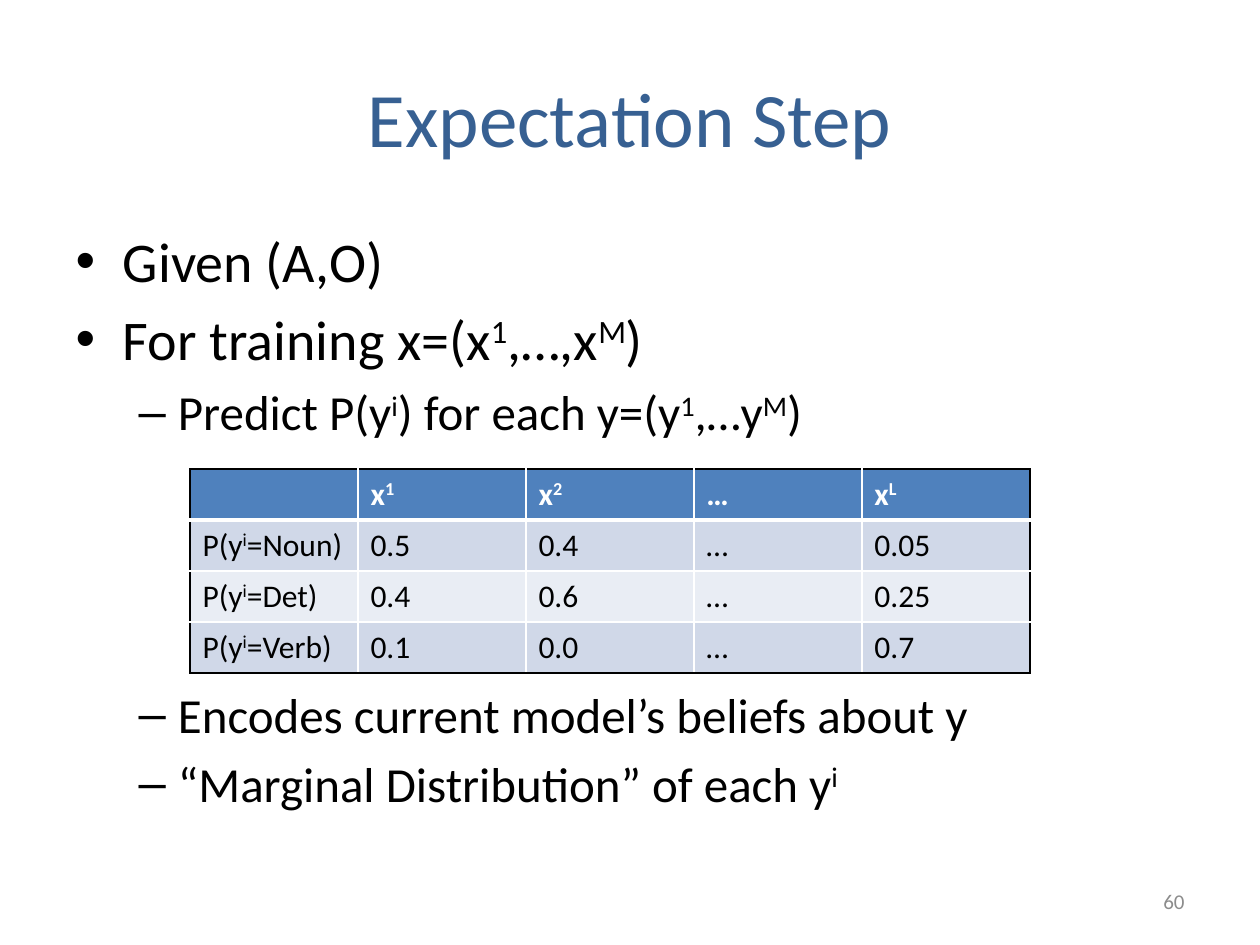
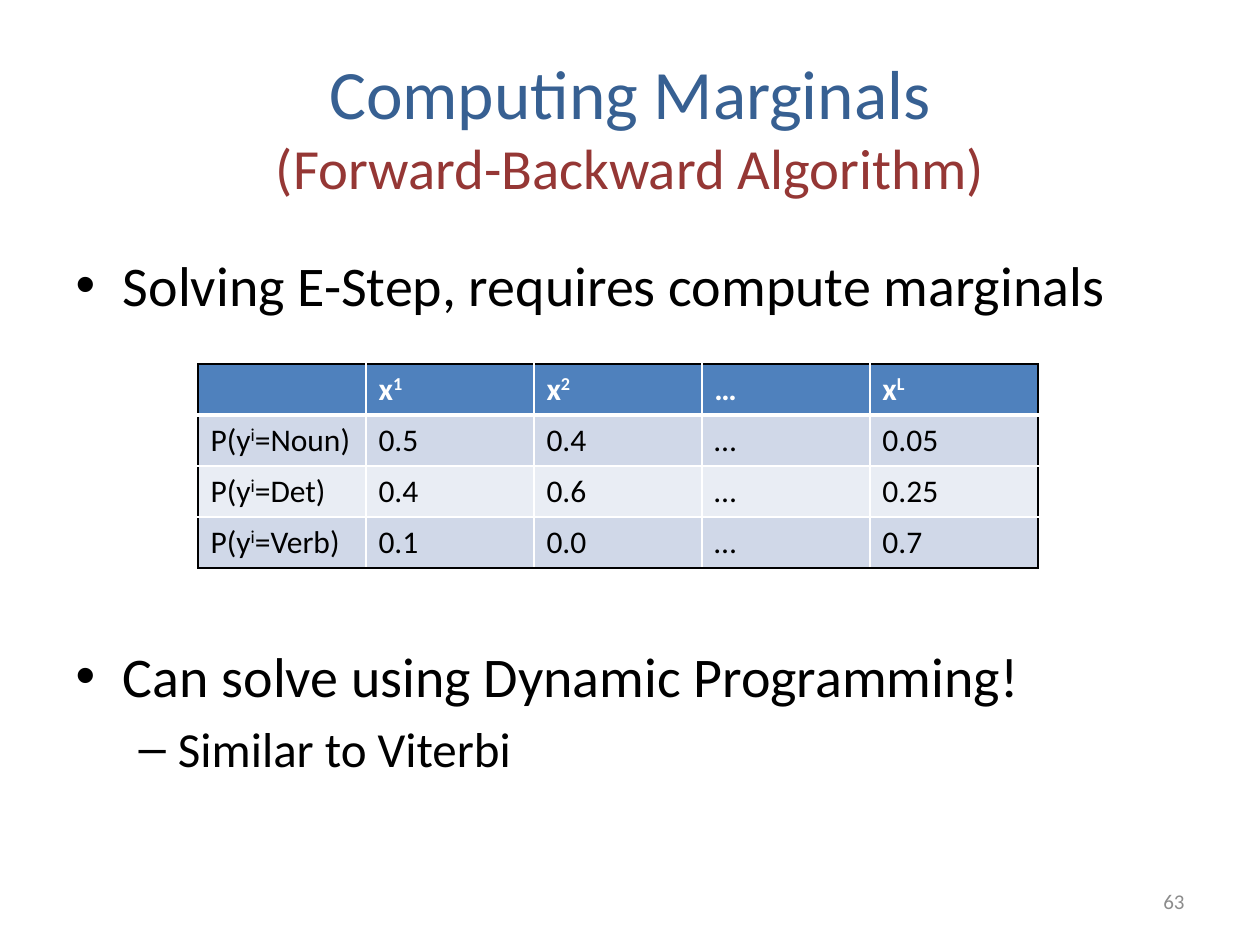
from dataclasses import dataclass

from lxml.etree import SubElement
from pptx import Presentation
from pptx.dml.color import RGBColor
from pptx.enum.text import MSO_ANCHOR, MSO_AUTO_SIZE, PP_ALIGN
from pptx.oxml.ns import qn
from pptx.util import Emu, Pt

COLORS = {
    "title": "376092",
    "subtitle": "953735",
    "text": "000000",
    "page": "8C8C8C",
    "header": "4F81BD",
    "odd_row": "D0D8E8",
    "even_row": "E9EDF4",
    "inner": "FFFFFF",
    "outer": "000000",
}
FONT = "Calibri"
PX_PER_INCH = 126
MARGIN, CONTENT_WIDTH = 63, 1134
COLUMN_WIDTH, ROW_HEIGHT = 168, 51
BULLET_SIZES = (32, 28)

MARGINALS = (
    ("", "x^1", "x^2", "…", "x^L"),
    ("P(y^i^=Noun)", "0.5", "0.4", "…", "0.05"),
    ("P(y^i^=Det)", "0.4", "0.6", "…", "0.25"),
    ("P(y^i^=Verb)", "0.1", "0.0", "…", "0.7"),
)


@dataclass(frozen=True)
class Bullet:
    text: str
    level: int = 0
    gap_before: int = 0


@dataclass(frozen=True)
class TitleLine:
    text: str
    size: float
    color: str = "title"


@dataclass(frozen=True)
class Lesson:
    title: tuple[TitleLine, ...]
    title_height: int
    bullets: tuple[Bullet, ...]
    body_top: int
    body_height: int
    table_at: tuple[int, int]
    page: str


LESSONS = (
    Lesson(
        title=(TitleLine("Expectation Step", 44),),
        title_height=158,
        bullets=(
            Bullet("Given (A,O)"),
            Bullet("For training x=(x^1^,…,x^M^)"),
            Bullet("Predict P(y^i^) for each y=(y^1^,…y^M^)", 1),
            Bullet("Encodes current model’s beliefs about y", 1, 244),
            Bullet("“Marginal Distribution” of each y^i", 1),
        ),
        body_top=220,
        body_height=624,
        table_at=(190, 469),
        page="60",
    ),
    Lesson(
        title=(
            TitleLine("Computing Marginals", 39.6),
            TitleLine("(Forward-Backward Algorithm)", 32.4, "subtitle"),
        ),
        title_height=175,
        bullets=(
            Bullet("Solving E-Step, requires compute marginals"),
            Bullet("Can solve using Dynamic Programming!", 0, 324),
            Bullet("Similar to Viterbi", 1),
        ),
        body_top=244,
        body_height=600,
        table_at=(198, 364),
        page="63",
    ),
)


def px(length: int) -> Emu:
    return Emu(round(length * 914400 / PX_PER_INCH))


def place(shape, left: int, top: int, width: int, height: int) -> None:
    shape.left, shape.top = px(left), px(top)
    shape.width, shape.height = px(width), px(height)


def style_run(run, size: float, color: str, bold: bool = False) -> None:
    run.font.name = FONT
    run.font.size = Pt(size)
    run.font.bold = bold
    run.font.color.rgb = RGBColor.from_string(COLORS[color])


def write(paragraph, marked: str, size: float, color: str, bold: bool = False) -> None:
    base, *others = marked.split("^")
    paragraph.text = base
    for position, piece in enumerate(others):
        if piece:
            run = paragraph.add_run()
            run.text = piece
            if position % 2 == 0:
                run._r.get_or_add_rPr().set("baseline", "30000")
    for run in paragraph.runs:
        style_run(run, size, color, bold)


def add_title(slide, lesson: Lesson) -> None:
    title = slide.shapes.title
    place(title, MARGIN, 38, CONTENT_WIDTH, lesson.title_height)
    frame = title.text_frame
    frame.auto_size = MSO_AUTO_SIZE.NONE
    frame.vertical_anchor = MSO_ANCHOR.MIDDLE
    frame.text = "\v".join(line.text for line in lesson.title)
    frame.paragraphs[0].alignment = PP_ALIGN.CENTER
    for run, line in zip(frame.paragraphs[0].runs, lesson.title):
        style_run(run, line.size, line.color)


def add_bullets(slide, lesson: Lesson) -> None:
    body = slide.placeholders[1]
    place(body, MARGIN, lesson.body_top, CONTENT_WIDTH, lesson.body_height)
    frame = body.text_frame
    frame.auto_size = MSO_AUTO_SIZE.NONE
    frame.text = "\n".join(bullet.text for bullet in lesson.bullets)
    for paragraph, bullet in zip(frame.paragraphs, lesson.bullets):
        write(paragraph, bullet.text, BULLET_SIZES[bullet.level], "text")
        paragraph.level = bullet.level
        if bullet.gap_before:
            paragraph.space_before = px(bullet.gap_before)


def add_border(cell, side: str, color: str, width: float) -> None:
    line = SubElement(cell._tc.get_or_add_tcPr(), qn(f"a:ln{side}"), w=str(Pt(width)))
    fill = SubElement(line, qn("a:solidFill"))
    SubElement(fill, qn("a:srgbClr"), val=COLORS[color])


def style_cell(cell, row: int, column: int) -> None:
    last_row, last_column = len(MARGINALS) - 1, len(MARGINALS[0]) - 1
    outer_sides = {
        "L": column == 0,
        "R": column == last_column,
        "T": row == 0,
        "B": row == last_row,
    }
    for side, is_outer in outer_sides.items():
        under_header = (row, side) in ((0, "B"), (1, "T"))
        add_border(cell, side, "outer" if is_outer else "inner", 3 if under_header else 1)
    fill = "header" if row == 0 else "odd_row" if row % 2 else "even_row"
    cell.fill.solid()
    cell.fill.fore_color.rgb = RGBColor.from_string(COLORS[fill])


def add_marginals(slide, left: int, top: int) -> None:
    rows, columns = len(MARGINALS), len(MARGINALS[0])
    marginals = slide.shapes.add_table(
        rows, columns, px(left), px(top), px(columns * COLUMN_WIDTH), px(rows * ROW_HEIGHT)
    ).table
    for row, values in enumerate(MARGINALS):
        for column, value in enumerate(values):
            cell = marginals.cell(row, column)
            style_cell(cell, row, column)
            is_header = row == 0
            write(cell.text_frame.paragraphs[0], value, 18, "inner" if is_header else "text", is_header)


def add_page_number(slide, page: str) -> None:
    frame = slide.shapes.add_textbox(px(903), px(876), px(294), px(50)).text_frame
    frame.word_wrap = True
    frame.vertical_anchor = MSO_ANCHOR.MIDDLE
    frame.text = page
    frame.paragraphs[0].alignment = PP_ALIGN.RIGHT
    style_run(frame.paragraphs[0].runs[0], 12, "page")


def main() -> None:
    deck = Presentation()
    deck.slide_width, deck.slide_height = px(1260), px(945)
    for lesson in LESSONS:
        slide = deck.slides.add_slide(deck.slide_layouts[1])
        add_title(slide, lesson)
        add_bullets(slide, lesson)
        add_page_number(slide, lesson.page)
        add_marginals(slide, *lesson.table_at)
    deck.save("out.pptx")


if __name__ == "__main__":
    main()
